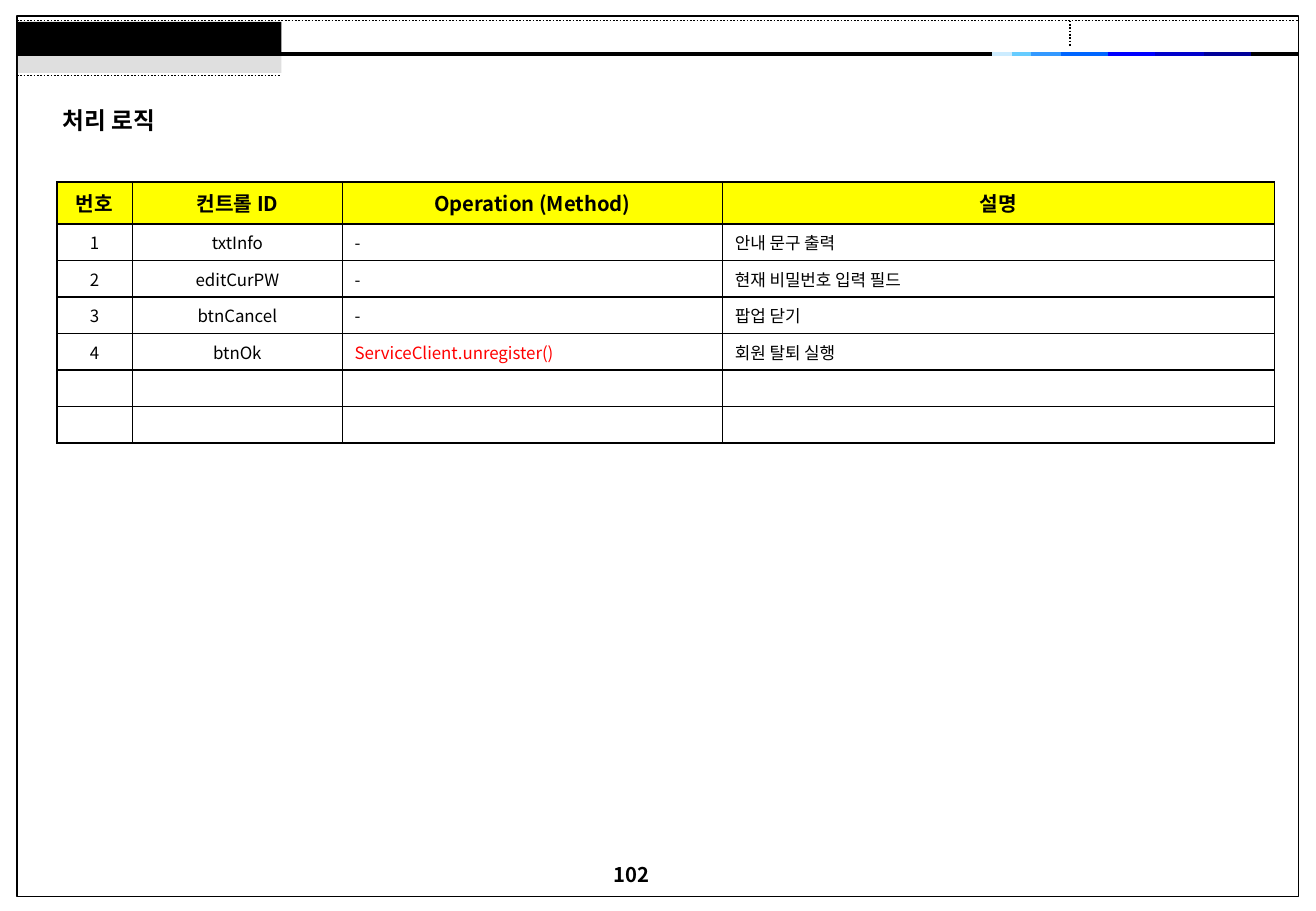
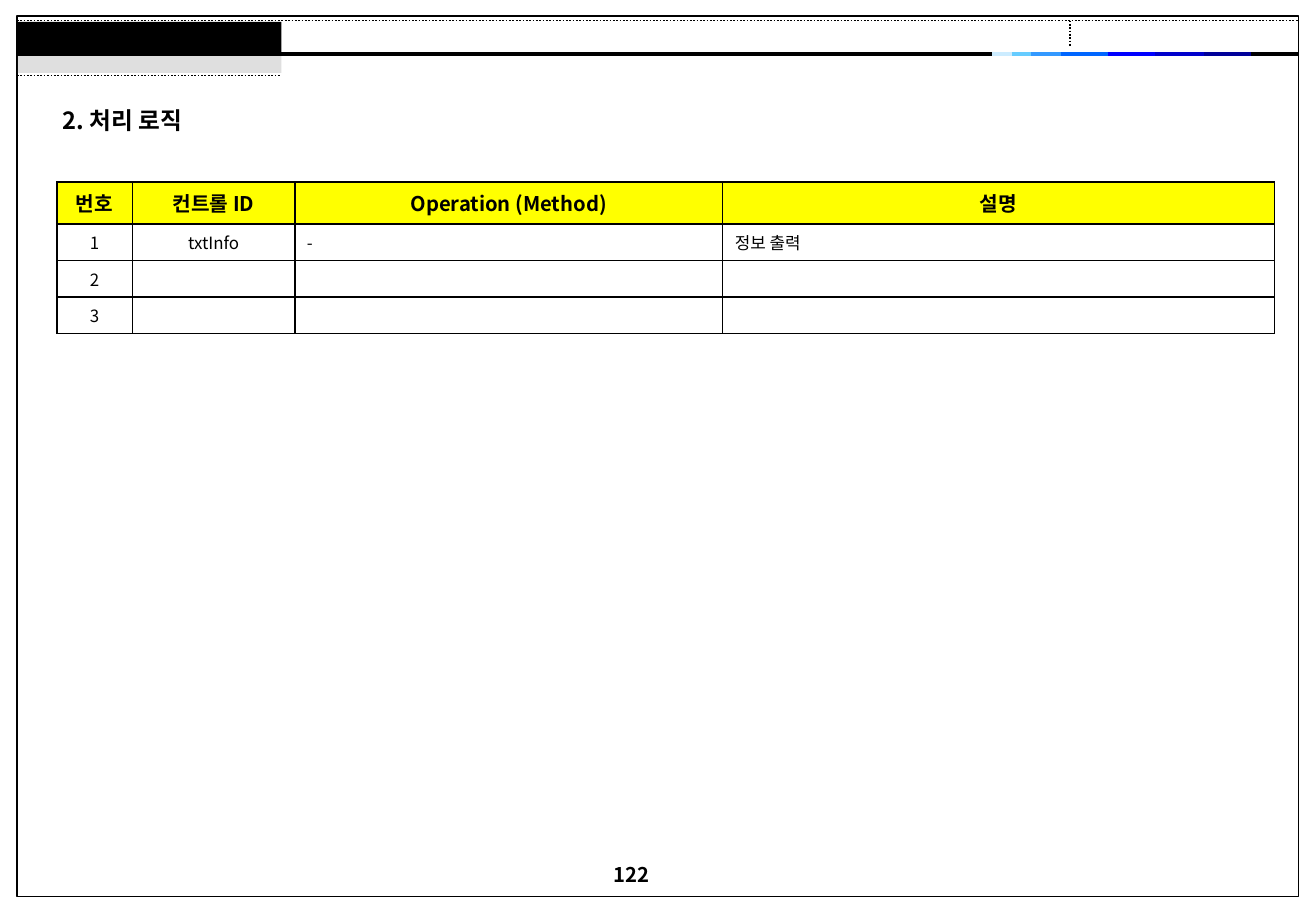
from itertools import pairwise

from lxml import etree
from pptx import Presentation
from pptx.dml.color import RGBColor
from pptx.enum.dml import MSO_LINE
from pptx.enum.shapes import MSO_CONNECTOR, MSO_SHAPE
from pptx.enum.text import MSO_ANCHOR, PP_ALIGN
from pptx.oxml.ns import qn
from pptx.util import Pt

FONT = "Noto Sans CJK KR"
BLACK, GREY, YELLOW, RED = "000000", "C0C0C0", "FFFF00", "FF0000"
HEADER = ["번호", "컨트롤 ID", "Operation (Method)", "설명"]
HEADER_HEIGHT, ROW_HEIGHT = 24.9, 21.65

# Frame and header band
LEFT, RIGHT, RULE_Y = 10.1, 769.7, 31.9
TAB_LEFT, TAB_WIDTH = 10.7, 156.2
STRIPE_EDGES = [588.2, 599.8, 611.3, 628.6, 656.6, 684.7, 713.5, 741.6]
STRIPE_COLOURS = ["CCECFF", "66CCFF", "3399FF", "0066FF", "0000FF", "0000CC", "000099"]
LINES = [
    (LEFT, RULE_Y, RIGHT, RULE_Y, BLACK, 2.25),
    (LEFT, 12.2, RIGHT, 12.2, BLACK, 1),
    *[(start, RULE_Y, end, RULE_Y, colour, 2.25)
      for (start, end), colour in zip(pairwise(STRIPE_EDGES), STRIPE_COLOURS)],
    (634.3, 12.2, 634.3, 27.2, BLACK, 1),
    (LEFT, 44.8, 166.5, 44.8, BLACK, 1),
]
BLOCKS = [
    (LEFT, 9.4, RIGHT - LEFT, 522, None),
    (TAB_LEFT, 13, TAB_WIDTH, 18, BLACK),
    (TAB_LEFT, 33.1, TAB_WIDTH, 10.1, GREY),
]

SLIDES = [
    ("처리 로직", "102", [44.6, 124.6, 225.4, 327], [
        ["1", "txtInfo", "-", "안내 문구 출력"],
        ["2", "editCurPW", "-", "현재 비밀번호 입력 필드"],
        ["3", "btnCancel", "-", "팝업 닫기"],
        ["4", "btnOk", "ServiceClient.unregister()", "회원 탈퇴 실행"],
        [""] * 4,
        [""] * 4,
    ]),
    ("2. 처리 로직", "122", [44.6, 96.4, 253.6, 327], [
        ["1", "txtInfo", "-", "정보 출력"],
        ["2", "", "", ""],
        ["3", "", "", ""],
    ]),
]


def rgb(colour):
    return RGBColor.from_string(colour)


def write(para, text, size, bold=False, colour=BLACK):
    if not text:
        etree.SubElement(para._p, qn("a:endParaRPr"), sz=str(size * 100))
        return
    span = para.add_run()
    span.text = text
    font = span.font
    font.size, font.bold, font.name = Pt(size), bold, FONT
    font.color.rgb = rgb(colour)
    etree.SubElement(font._element, qn("a:ea"), typeface=FONT)


deck = Presentation()
deck.slide_width, deck.slide_height = Pt(780), Pt(540)

for title, number, widths, rows in SLIDES:
    page = deck.slides.add_slide(deck.slide_layouts[6])

    # Frame and title tab
    for left, top, width, height, fill in BLOCKS:
        block = page.shapes.add_shape(
            MSO_SHAPE.RECTANGLE, Pt(left), Pt(top), Pt(width), Pt(height))
        block.shadow.inherit = False
        if fill:
            block.fill.solid()
            block.fill.fore_color.rgb = rgb(fill)
            block.line.fill.background()
        else:
            block.fill.background()
            block.line.color.rgb = rgb(BLACK)
            block.line.width = Pt(1)
        if fill == GREY:
            solid = block._element.spPr.find(qn("a:solidFill"))
            etree.SubElement(solid[0], qn("a:alpha"), val="50000")

    # Rules, dotted lines and blue stripes
    for x1, y1, x2, y2, colour, weight in LINES:
        rule = page.shapes.add_connector(
            MSO_CONNECTOR.STRAIGHT, Pt(x1), Pt(y1), Pt(x2), Pt(y2))
        rule.line.color.rgb = rgb(colour)
        rule.line.width = Pt(weight)
        if weight == 1:
            rule.line.dash_style = MSO_LINE.ROUND_DOT
        etree.SubElement(rule._element.spPr, qn("a:effectLst"))

    # Title and page number
    for text, size, left, top, width, height in [
        (title, 14, 30.2, 59, 144.7, 24.5),
        (number, 12, 356.4, 507.6, 67.7, 31.7),
    ]:
        box = page.shapes.add_textbox(Pt(left), Pt(top), Pt(width), Pt(height))
        box.text_frame.word_wrap = True
        write(box.text_frame.paragraphs[0], text, size, bold=True)

    # Control table
    heights = [HEADER_HEIGHT] + [ROW_HEIGHT] * len(rows)
    table = page.shapes.add_table(
        len(heights), len(widths), Pt(33.8), Pt(108),
        Pt(sum(widths)), Pt(sum(heights))).table
    table.horz_banding = False
    for column, width in zip(table.columns, widths):
        column.width = Pt(width)
    for r, (texts, height) in enumerate(zip([HEADER] + rows, heights)):
        table.rows[r].height = Pt(height)
        for c, text in enumerate(texts):
            cell = table.cell(r, c)
            cell.vertical_anchor = MSO_ANCHOR.MIDDLE
            properties = cell._tc.get_or_add_tcPr()
            for side in ("lnL", "lnR", "lnT", "lnB"):
                border = etree.SubElement(properties, qn(f"a:{side}"), w=str(Pt(1)))
                solid = etree.SubElement(border, qn("a:solidFill"))
                etree.SubElement(solid, qn("a:srgbClr"), val=BLACK)
            para = cell.text_frame.paragraphs[0]
            para.alignment = PP_ALIGN.CENTER if r == 0 or c < 2 else PP_ALIGN.LEFT
            if r == 0:
                cell.fill.solid()
                cell.fill.fore_color.rgb = rgb(YELLOW)
                write(para, text, 12, bold=True)
            else:
                cell.fill.background()
                write(para, text, 10, colour=RED if text.endswith("()") else BLACK)

deck.save("out.pptx")
